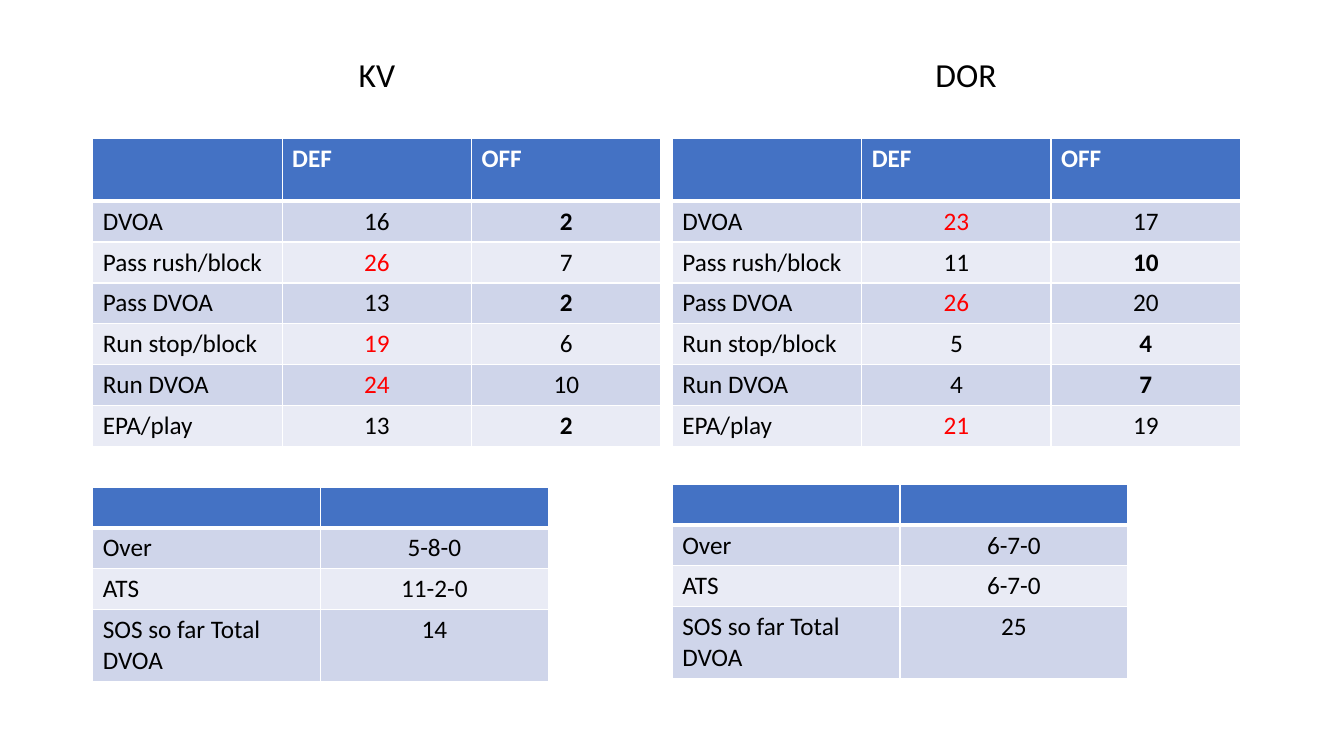
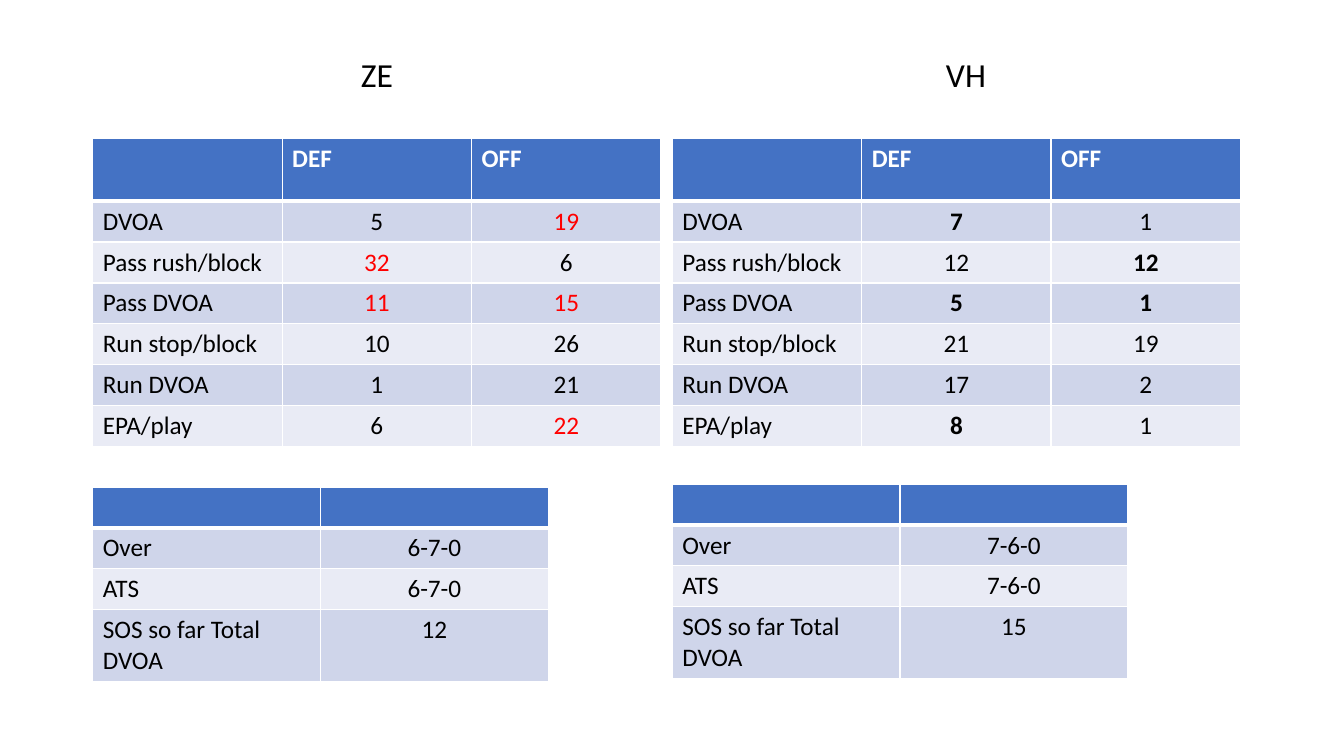
from lxml import etree
from pptx import Presentation
from pptx.dml.color import RGBColor
from pptx.enum.text import MSO_ANCHOR, PP_ALIGN
from pptx.oxml.ns import qn
from pptx.util import Pt

CENTER, LEFT = PP_ALIGN.CENTER, PP_ALIGN.LEFT
BOTTOM = MSO_ANCHOR.BOTTOM
COMPARISON_LAYOUT = 4
COLORS = {
    "header": "4472C4",
    "odd": "CFD5EA",
    "even": "E9EBF5",
    "white": "FFFFFF",
    "black": "000000",
    "weak": "FF0000",
}
STRONG, WEAK = "*", "!"
ROW_HEIGHT = 29.2
RANKS = ["DVOA", "Pass rush/block", "Pass DVOA", "Run stop/block", "Run DVOA", "EPA/play"]
RECORDS = ["Over", "ATS", "SOS so far Total DVOA"]

SIDES = [
    {"name": (66.24, 406), "tables": 66.24, "record_top": 347.8},
    {"name": (486, 408), "tables": 480.2, "record_top": 345.8},
]

MATCHUPS = [
    [
        ("KV", "16 26! 13 19! 24! 13", "2* 7 2* 6 10 2*", "5-8-0 11-2-0 14"),
        ("DOR", "23! 11 26! 5 4 21!", "17 10* 20 4* 7* 19", "6-7-0 6-7-0 25"),
    ],
    [
        ("ZE", "5 32! 11! 10 1 6", "19! 6 15! 26 21 22!", "6-7-0 6-7-0 12"),
        ("VH", "7* 12 5* 21 17 8*", "1 12* 1* 19 2 1", "7-6-0 7-6-0 15"),
    ],
]


class Deck:
    font = "Calibri"

    def __init__(self):
        self.presentation = Presentation()
        self.presentation.slide_width = Pt(960)
        self.presentation.slide_height = Pt(540)
        self.slide = None

    def add_slide(self):
        layout = self.presentation.slide_layouts[COMPARISON_LAYOUT]
        self.slide = self.presentation.slides.add_slide(layout)

    def format_text(self, paragraph, size, color, bold=False, align=LEFT):
        paragraph.alignment = align
        for run in paragraph.runs:
            run.font.name = self.font
            run.font.size = Pt(size)
            run.font.bold = bold
            run.font.color.rgb = RGBColor.from_string(COLORS[color])

    def team_name(self, index, name, left, width):
        heading = self.slide.placeholders[index]
        heading.left, heading.top = Pt(left), Pt(6.5)
        heading.width, heading.height = Pt(width), Pt(64.8)
        heading.text_frame.text = name
        heading.text_frame.vertical_anchor = BOTTOM
        paragraph = heading.text_frame.paragraphs[0]
        paragraph.line_spacing = 0.9
        paragraph.space_before = Pt(10)
        self.format_text(paragraph, 24, "black", align=CENTER)

    def borders(self, cell, row):
        properties = cell._tc.get_or_add_tcPr()
        widths = {"L": 1, "R": 1, "T": 3 if row == 1 else 1, "B": 3 if row == 0 else 1}
        for edge, width in widths.items():
            line = etree.SubElement(properties, qn(f"a:ln{edge}"), w=str(Pt(width)))
            fill = etree.SubElement(line, qn("a:solidFill"))
            etree.SubElement(fill, qn("a:srgbClr"), val=COLORS["white"])

    def cell(self, cell, text, row, column):
        self.borders(cell, row)
        band = "header" if row == 0 else "odd" if row % 2 else "even"
        cell.fill.solid()
        cell.fill.fore_color.rgb = RGBColor.from_string(COLORS[band])
        cell.text_frame.text = text.rstrip(STRONG + WEAK)
        color = "white" if row == 0 else "weak" if text.endswith(WEAK) else "black"
        bold = row == 0 or text.endswith(STRONG)
        align = CENTER if row and column else LEFT
        self.format_text(cell.text_frame.paragraphs[0], 18, color, bold, align)

    def table(self, rows, left, top, column_width, heights):
        columns = len(rows[0])
        table = self.slide.shapes.add_table(
            len(rows), columns, Pt(left), Pt(top), Pt(column_width * columns), Pt(sum(heights))
        ).table
        for column in table.columns:
            column.width = Pt(column_width)
        for r, (values, height) in enumerate(zip(rows, heights)):
            table.rows[r].height = Pt(height)
            for c, value in enumerate(values):
                self.cell(table.cell(r, c), value, r, c)

    def remove_empty_placeholders(self):
        for placeholder in list(self.slide.placeholders):
            if not placeholder.text_frame.text:
                placeholder._element.getparent().remove(placeholder._element)


deck = Deck()
for teams in MATCHUPS:
    deck.add_slide()
    for index, side, (name, defense, offense, record) in zip((1, 3), SIDES, teams):
        deck.team_name(index, name, *side["name"])
        ranks = [("", "DEF", "OFF"), *zip(RANKS, defense.split(), offense.split())]
        deck.table(ranks, side["tables"], 98.7, 135.3, [45] + [ROW_HEIGHT] * len(RANKS))
        records = [("", ""), *zip(RECORDS, record.split())]
        deck.table(records, side["tables"], side["record_top"], 162.7, [ROW_HEIGHT] * 3 + [51])
    deck.remove_empty_placeholders()

deck.presentation.save("out.pptx")
